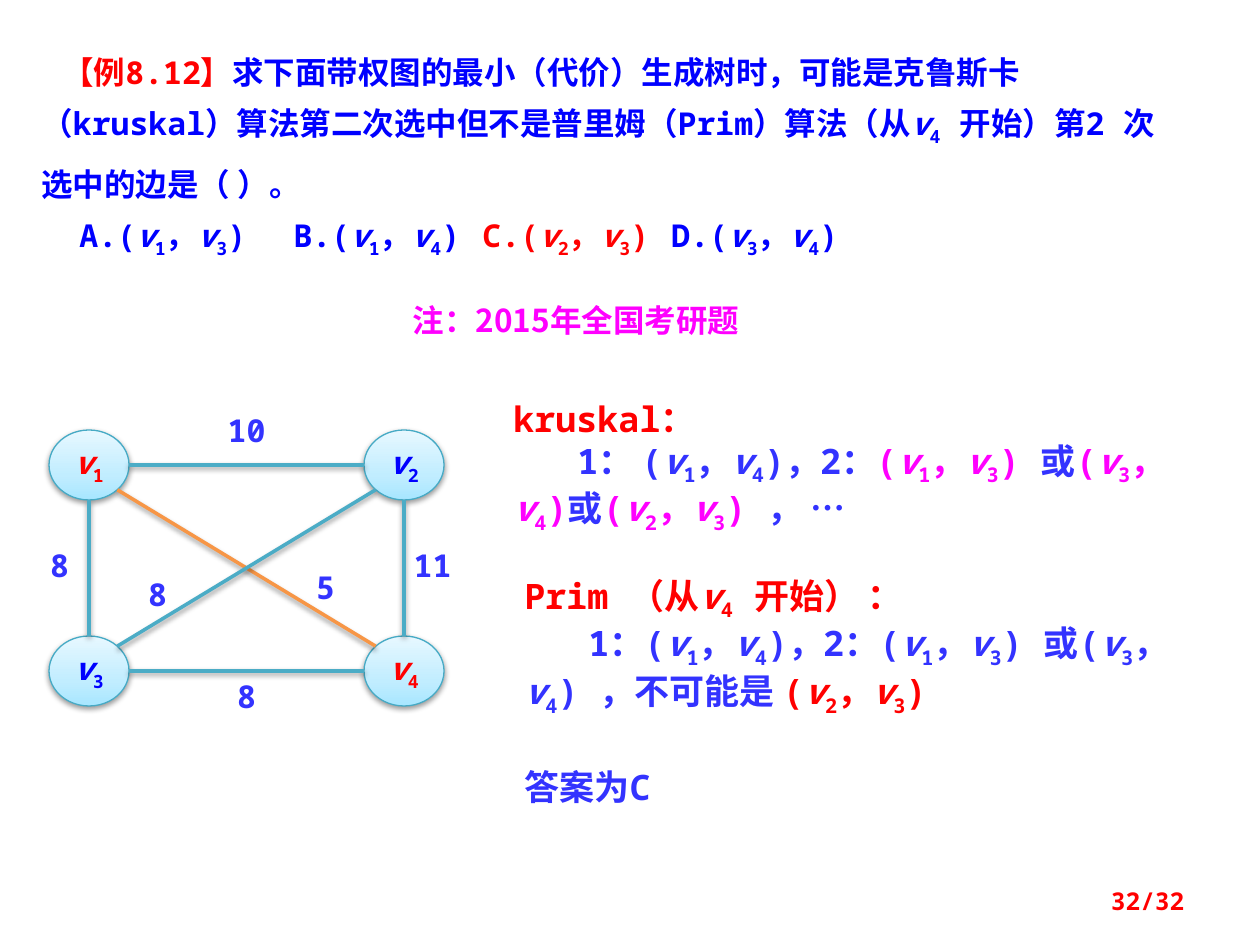
from copy import deepcopy

from pptx import Presentation
from pptx.dml.color import RGBColor
from pptx.enum.shapes import MSO_CONNECTOR, MSO_SHAPE
from pptx.enum.text import MSO_ANCHOR, MSO_AUTO_SIZE, PP_ALIGN
from pptx.oxml.ns import qn
from pptx.util import Emu, Pt
from lxml import etree

STRAIGHT = MSO_CONNECTOR.STRAIGHT
OVAL = MSO_SHAPE.OVAL
MIDDLE, TOP = MSO_ANCHOR.MIDDLE, MSO_ANCHOR.TOP
LEFT, CENTER, RIGHT = PP_ALIGN.LEFT, PP_ALIGN.CENTER, PP_ALIGN.RIGHT
GROW, FIXED = MSO_AUTO_SIZE.SHAPE_TO_FIT_TEXT, MSO_AUTO_SIZE.NONE

MONO, SANS = "Noto Sans Mono", "Noto Sans CJK SC"
RED, BLUE, VIOLET, PINK = "FF0000", "0000FF", "3333FF", "FF00FF"
TEAL, ORANGE, RIM = "4BACC6", "F79646", "46AAC5"
NODE_STOPS = [(0, "A7E6FF"), (0.35, "C1EDFF"), (1, "E7F8FF")]

NODE_W, NODE_H = 80, 70


def px(length):
    return Emu(round(length * 914400 / 126))


def rgb(colour):
    return RGBColor.from_string(colour)


class SlideBuilder:
    def __init__(self, page):
        self.page = page

    def add_text(self, para, colour, *pieces, size=18, face=MONO):
        """Add runs; a whole number n stands for the vertex v with subscript n."""
        for piece in pieces:
            if isinstance(piece, int):
                self.span(para, "v", colour, size, face, italic=True)
                sub = self.span(para, str(piece), colour, size, face)
                sub._r.get_or_add_rPr().set("baseline", "-25000")
            else:
                self.span(para, piece, colour, size, face)

    def span(self, para, text, colour, size, face, italic=False):
        span = para.add_run()
        span.text = text
        font = span.font
        font.size, font.bold, font.italic = Pt(size), True, italic
        font.color.rgb = rgb(colour)
        font.name = face
        etree.SubElement(span._r.get_or_add_rPr(), qn("a:ea"), typeface=SANS)
        return span

    def box(self, left, top, width, height, inset=None, anchor=TOP, fit=GROW):
        frame = self.page.shapes.add_textbox(
            px(left), px(top), px(width), px(height)).text_frame
        frame.word_wrap, frame.auto_size = True, fit
        frame.vertical_anchor = anchor
        if inset is not None:
            frame.margin_left = frame.margin_right = px(inset)
            frame.margin_top = frame.margin_bottom = px(inset)
        return frame

    def line_of_text(self, place, text, colour, align=LEFT, size=18, face=MONO, **box):
        para = self.box(*place, **box).paragraphs[0]
        para.alignment = align
        self.add_text(para, colour, text, size=size, face=face)

    def layout(self, para, indent, tabs=()):
        props = para._p.get_or_add_pPr()
        props.set("indent", str(px(indent)))
        props.set("marL", "0")
        if tabs:
            tab_list = etree.SubElement(props, qn("a:tabLst"))
            for stop in tabs:
                etree.SubElement(tab_list, qn("a:tab"), pos=str(px(stop)), algn="l")

    def shade(self, effects):
        shadow = etree.SubElement(effects, qn("a:outerShdw"), blurRad="40000",
                                  dist="20000", dir="5400000", rotWithShape="0")
        black = etree.SubElement(shadow, qn("a:srgbClr"), val="000000")
        etree.SubElement(black, qn("a:alpha"), val="38000")

    def node(self, number, centre, colour):
        x, y = centre
        oval = self.page.shapes.add_shape(
            OVAL, px(x - NODE_W / 2), px(y - NODE_H / 2), px(NODE_W), px(NODE_H))
        oval.fill.gradient()
        oval.fill.gradient_angle = 90
        stop_list = oval._element.spPr.find(".//" + qn("a:gsLst"))
        stop_list.append(deepcopy(stop_list[0]))
        for stop, (position, tint) in zip(oval.fill.gradient_stops, NODE_STOPS):
            stop.position = position
            stop.color.rgb = rgb(tint)
        oval.line.color.rgb = rgb(RIM)
        oval.line.width = Pt(0.75)
        oval.shadow.inherit = False
        self.shade(oval._element.spPr.find(qn("a:effectLst")))
        frame = oval.text_frame
        frame.word_wrap, frame.vertical_anchor = False, MIDDLE
        frame.paragraphs[0].alignment = CENTER
        self.add_text(frame.paragraphs[0], colour, number)

    def edge(self, start, end, colour):
        """Join two node centres, stopping at the rims of the ovals."""
        (x1, y1), (x2, y2) = start, end
        reach = 0.71 if x1 != x2 and y1 != y2 else 1
        dx = ((x2 > x1) - (x2 < x1)) * reach * NODE_W / 2
        dy = ((y2 > y1) - (y2 < y1)) * reach * NODE_H / 2
        link = self.page.shapes.add_connector(
            STRAIGHT, px(x1 + dx), px(y1 + dy), px(x2 - dx), px(y2 - dy))
        link.line.color.rgb = rgb(colour)
        link.line.width = Pt(2)
        self.shade(etree.SubElement(link._element.spPr, qn("a:effectLst")))


def pair(first, second):
    return "(", first, "，", second, ")"


def main():
    deck = Presentation()
    deck.slide_width, deck.slide_height = px(1260), px(945)
    builder = SlideBuilder(deck.slides.add_slide(deck.slide_layouts[6]))

    # Question and its four options
    frame = builder.box(29, 29, 1162, 239)
    question, options = frame.paragraphs[0], frame.add_paragraph()
    builder.layout(question, 21)
    builder.layout(options, 38, tabs=(296, 553, 829))
    question.line_spacing = options.line_spacing = Pt(32)
    builder.add_text(question, RED, "【例8.12】")
    builder.add_text(question, BLUE,
                     "求下面带权图的最小（代价）生成树时，可能是克鲁斯卡（kruskal）算法"
                     "第二次选中但不是普里姆（Prim）算法（从", 4,
                     " 开始）第2 次选中的边是（ ）。")
    choices = [("A.", 1, 3, BLUE), ("\tB.", 1, 4, BLUE),
               ("\tC.", 2, 3, RED), ("\tD.", 3, 4, BLUE)]
    for letter, first, second, colour in choices:
        builder.add_text(options, colour, letter, *pair(first, second))

    # Weighted graph
    centres = {1: (89, 465), 2: (404, 465), 3: (89, 671), 4: (404, 671)}
    for number, centre in centres.items():
        builder.node(number, centre, RED if number in (1, 4) else BLUE)
    edges = [(1, 2, TEAL), (1, 3, TEAL), (3, 4, TEAL),
             (2, 4, TEAL), (1, 4, ORANGE), (3, 2, TEAL)]
    for first, second, colour in edges:
        builder.edge(centres[first], centres[second], colour)
    weights = [("10", 207, 411), ("8", 207, 677), ("11", 393, 546),
               ("8", 20, 546), ("5", 286, 568), ("8", 118, 575)]
    for weight, left, top in weights:
        builder.line_of_text((left, top, 79, 38), weight, VIOLET, CENTER, inset=0)

    # Second choices of each algorithm
    prim = builder.box(512, 568, 699, 140)
    builder.add_text(prim.paragraphs[0], RED, "Prim （从", 4, " 开始） ：", size=20)
    kruskal = builder.box(501, 391, 689, 140)
    builder.add_text(kruskal.paragraphs[0], RED, "kruskal：", size=20)
    steps = [
        (prim, [(VIOLET, ["1：", *pair(1, 4), "，2：", *pair(1, 3), " 或",
                          *pair(3, 4), " ，不可能是"]),
                (RED, [" ", *pair(2, 3)])]),
        (kruskal, [(VIOLET, ["1： ", *pair(1, 4), "，2："]),
                   (PINK, [*pair(1, 3), " "]), (VIOLET, ["或"]),
                   (PINK, pair(3, 4)), (VIOLET, ["或"]),
                   (PINK, [*pair(2, 3), " "]), (VIOLET, ["， …"])]),
    ]
    for frame, parts in steps:
        para = frame.add_paragraph()
        builder.layout(para, 64)
        for colour, pieces in parts:
            builder.add_text(para, colour, *pieces, size=20)

    # Remark, answer and page number
    builder.line_of_text((354, 295, 444, 50), "注：2015年全国考研题", PINK, CENTER, face=SANS)
    builder.line_of_text((512, 759, 315, 55), "答案为C", VIOLET, size=20)
    builder.line_of_text((903, 876, 294, 50), "32/32", RED, RIGHT, size=14,
                         anchor=MIDDLE, fit=FIXED)

    deck.save("out.pptx")


if __name__ == "__main__":
    main()
